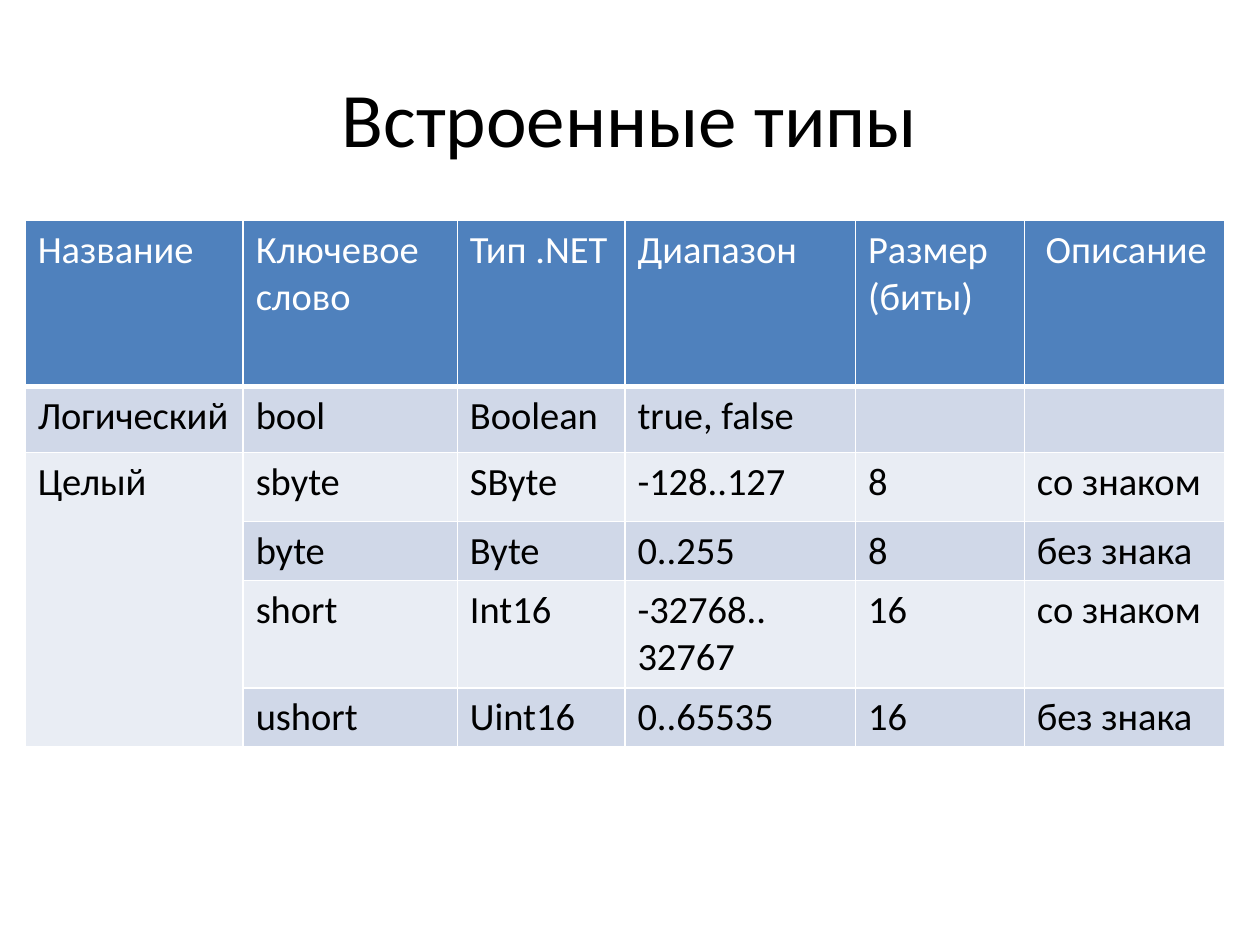
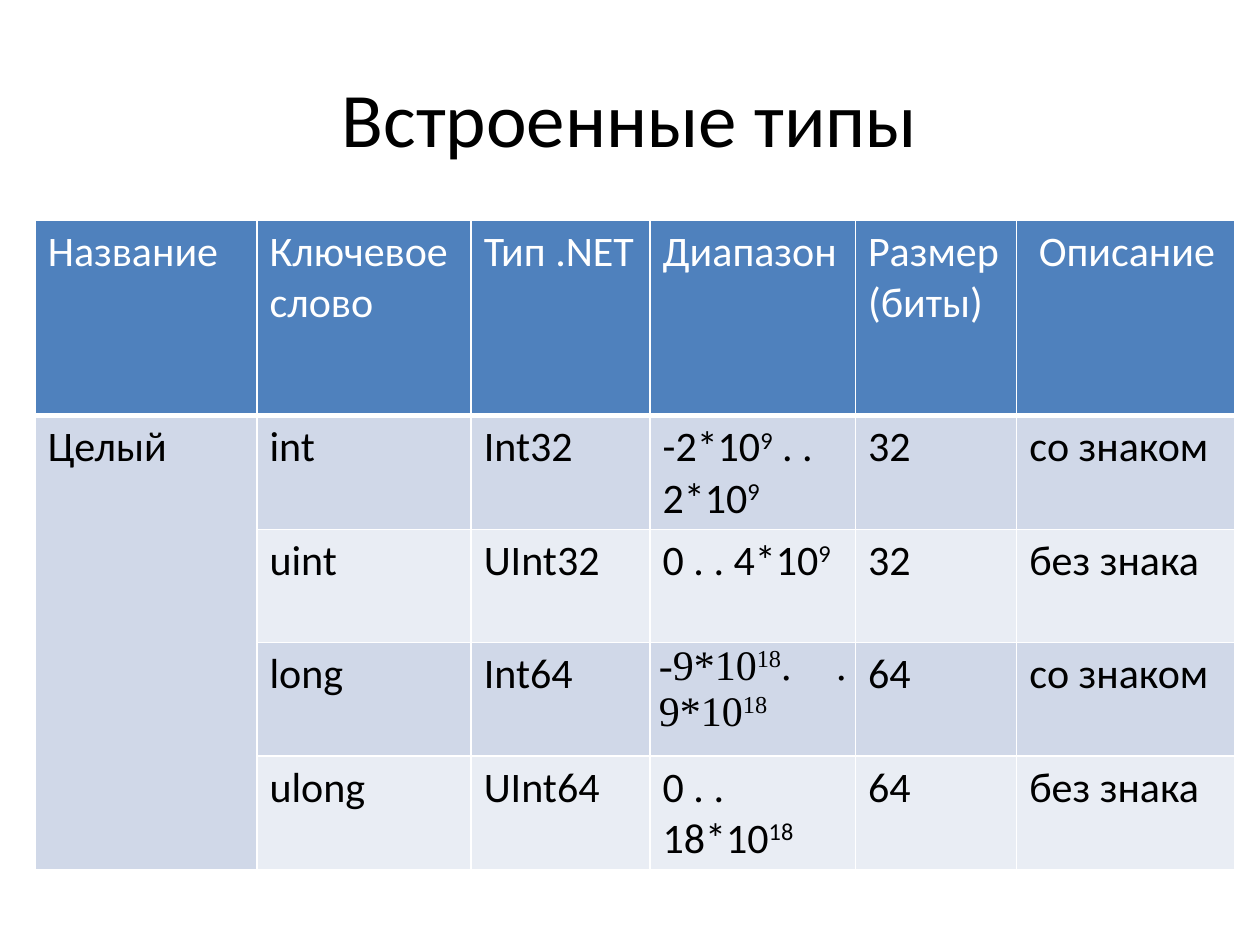
from dataclasses import dataclass

from lxml.etree import SubElement
from pptx import Presentation
from pptx.dml.color import RGBColor
from pptx.enum.text import MSO_ANCHOR, PP_ALIGN
from pptx.oxml.ns import qn
from pptx.util import Inches, Pt

TITLE = "Встроенные типы"
HEADINGS = ("Название", "Ключевое слово", "Тип .NET", "Диапазон", "Размер (биты)", " Описание")
SIGNED, UNSIGNED = "со знаком", "без знака"
LONG_RANGE = "-9*10|18|. . 9*10|18"

TYPE_SLIDES = [
    dict(
        left=0.2,
        text_size=22,
        columns=(1.73, 1.7, 1.33, 1.83, 1.34, 1.59),
        heights=(1.32, 0.52, 0.55, 0.47, 0.85, 0.47),
        integer_row=2,
        types=[
            ("Логический", "bool", "Boolean", "true, false", "", ""),
            ("Целый", "sbyte", "SByte", "-128..127", "8", SIGNED),
            ("", "byte", "Byte", "0..255", "8", UNSIGNED),
            ("", "short", "Int16", "-32768.. 32767", "16", SIGNED),
            ("", "ushort", "Uint16", "0..65535", "16", UNSIGNED),
        ],
    ),
    dict(
        left=0.28,
        text_size=24,
        columns=(1.76, 1.7, 1.42, 1.63, 1.28, 1.73),
        heights=(1.55, 0.9, 0.9, 0.9, 0.9),
        integer_row=1,
        types=[
            ("Целый", "int", "Int32", "-2*10|9| . . 2*10|9", "32", SIGNED),
            ("", "uint", "UInt32", "0 . . 4*10|9", "32", UNSIGNED),
            ("", "long", "Int64", LONG_RANGE, "64", SIGNED),
            ("", "ulong", "UInt64", "0 . . 18*10|18", "64", UNSIGNED),
        ],
    ),
]


@dataclass(frozen=True)
class Theme:
    font: str = "Calibri"
    range_font: str = "Times New Roman"
    title_size: int = 44
    ink: str = "000000"
    light: str = "FFFFFF"
    header: str = "4F81BD"
    bands: tuple = ("D0D8E8", "E9EDF4")
    rule: int = 1
    header_rule: int = 3


THEME = Theme()


def write(frame, text, size, color=THEME.ink, font=THEME.font, align=PP_ALIGN.LEFT):
    paragraph = frame.paragraphs[0]
    paragraph.alignment = align
    paragraph.font.size = Pt(size)
    for position, part in enumerate(text.split("|") if text else []):
        run = paragraph.add_run()
        run.text = part
        run.font.size = Pt(size)
        run.font.name = font
        run.font.bold = False
        run.font.color.rgb = RGBColor.from_string(color)
        if position % 2:
            run.font._element.set("baseline", "30000")


def paint(cell, color, bottom):
    properties = cell._tc.get_or_add_tcPr()
    for side in "LRTB":
        width = bottom if side == "B" else THEME.rule
        border = SubElement(properties, qn(f"a:ln{side}"), w=str(Pt(width)))
        SubElement(SubElement(border, qn("a:solidFill")), qn("a:srgbClr"), val=THEME.light)
    cell.fill.solid()
    cell.fill.fore_color.rgb = RGBColor.from_string(color)


def add_title(slide):
    title = slide.shapes.add_textbox(Inches(0.5), Inches(0.3), Inches(9), Inches(1.25))
    title.text_frame.word_wrap = True
    title.text_frame.vertical_anchor = MSO_ANCHOR.MIDDLE
    write(title.text_frame, TITLE, THEME.title_size, align=PP_ALIGN.CENTER)


def add_types(slide, left, text_size, columns, heights, integer_row, types):
    grid = slide.shapes.add_table(
        len(heights), len(columns), Inches(left), Inches(1.75),
        Inches(sum(columns)), Inches(sum(heights)),
    ).table
    for column, width in zip(grid.columns, columns):
        column.width = Inches(width)
    for row, height in zip(grid.rows, heights):
        row.height = Inches(height)

    for r, values in enumerate([HEADINGS, *types]):
        is_header = r == 0
        for c, value in enumerate(values):
            cell = grid.cell(r, c)
            band_row = integer_row if c == 0 and r > integer_row else r
            fill = THEME.header if is_header else THEME.bands[(band_row - 1) % 2]
            paint(cell, fill, THEME.header_rule if is_header else THEME.rule)
            look = dict(color=THEME.light if is_header else THEME.ink)
            if value == LONG_RANGE:
                cell.margin_left = cell.margin_right = Inches(0.07)
                cell.margin_top = cell.margin_bottom = 0
                look.update(font=THEME.range_font, align=PP_ALIGN.JUSTIFY)
            write(cell.text_frame, value, text_size, **look)
    grid.cell(integer_row, 0).merge(grid.cell(len(types), 0))


def main():
    deck = Presentation()
    deck.slide_width, deck.slide_height = Inches(10), Inches(7.5)
    for content in TYPE_SLIDES:
        slide = deck.slides.add_slide(deck.slide_layouts[6])
        add_title(slide)
        add_types(slide, **content)
    deck.save("out.pptx")


if __name__ == "__main__":
    main()
